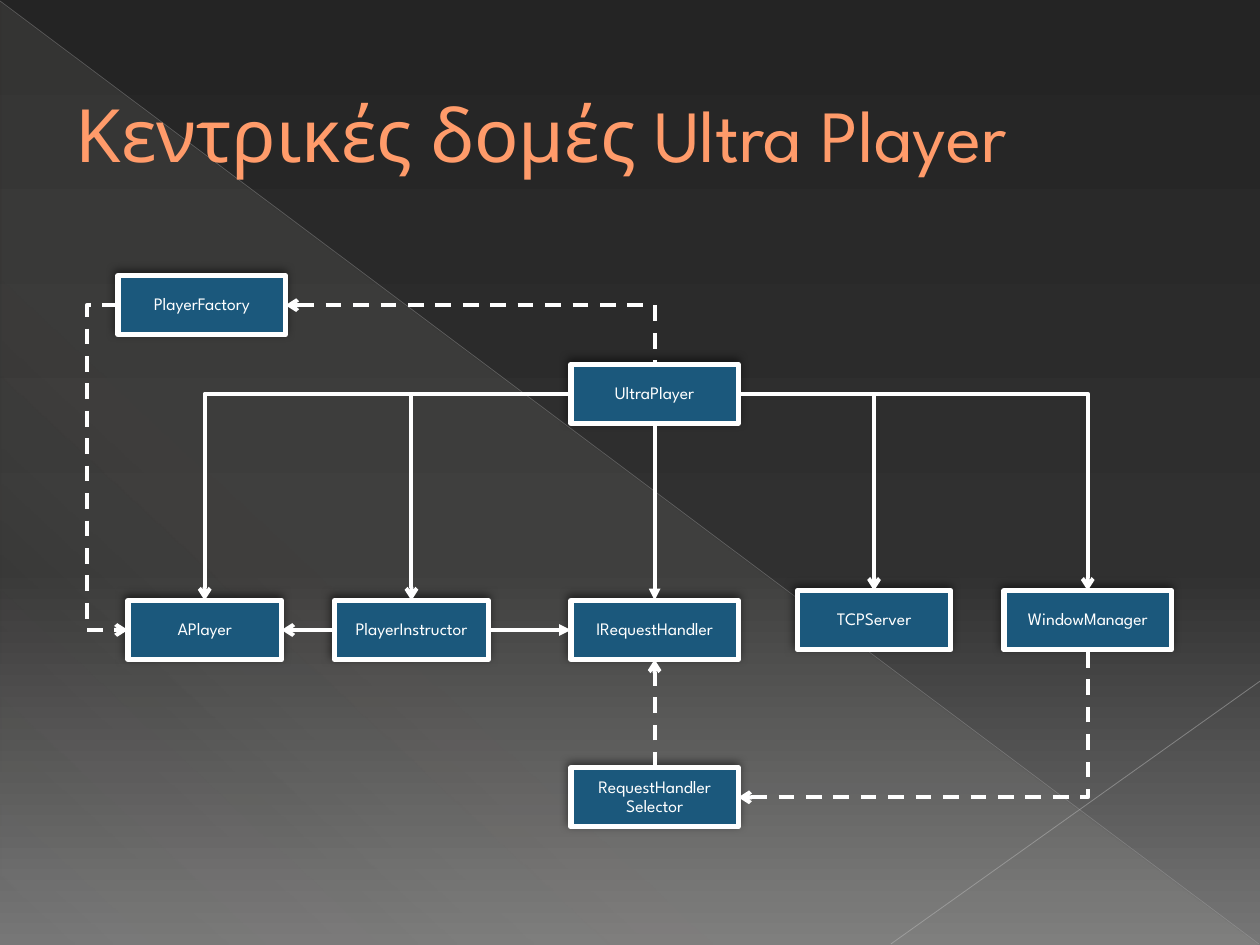
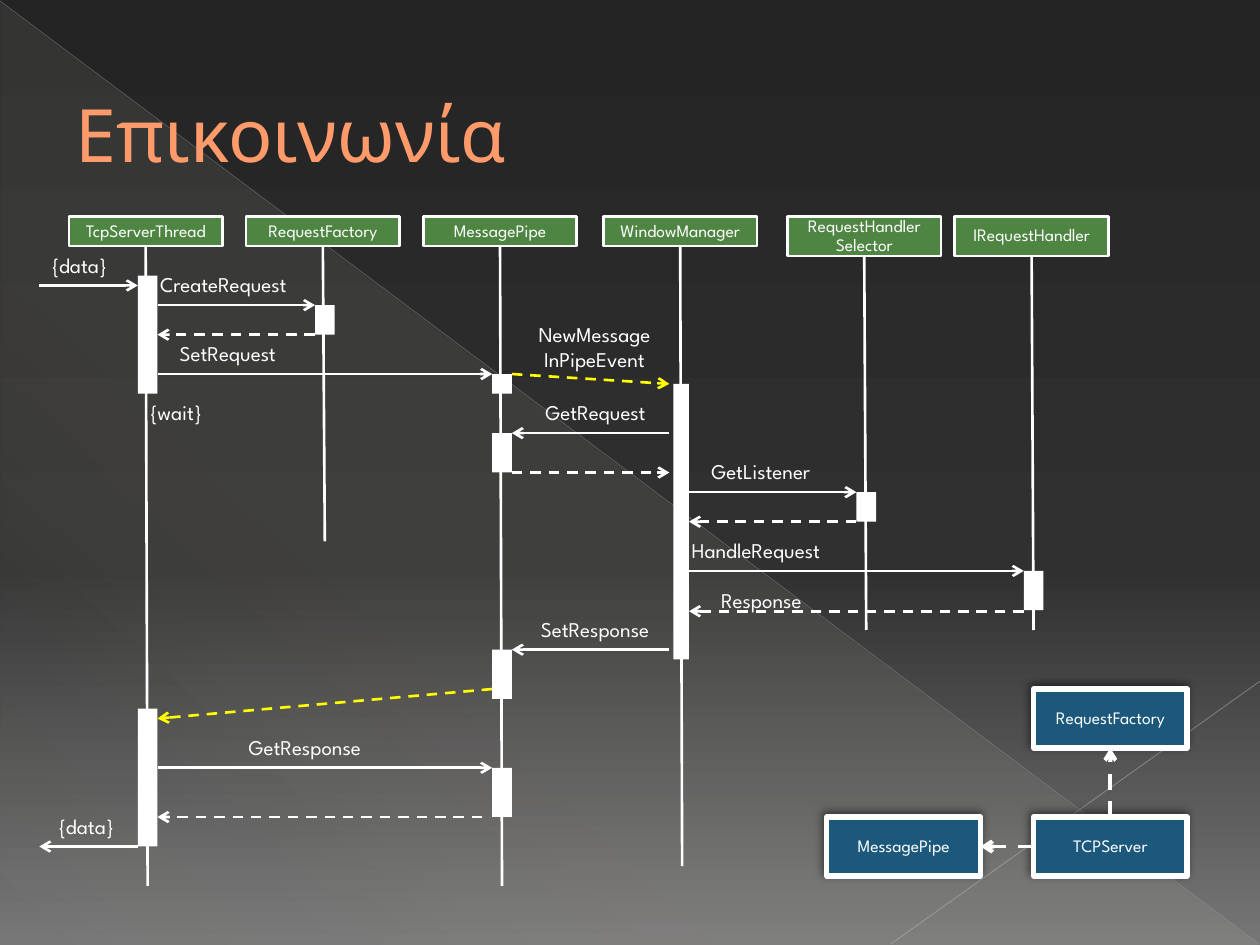
import pptx
import pptx.util
import pptx.dml.color
import pptx.enum.dml
import pptx.enum.shapes
import pptx.enum.text
import pptx.oxml
import pptx.oxml.ns

# ---- Shared look -------------------------------------------------------
FONT = "League Spartan"
WHITE, BLUE, GREEN, YELLOW, ORANGE = "FFFFFF", "1B587C", "4E8542", "FFFF00", "FF9B6A"
WIDTH, HEIGHT = 10, 7.5
UNIT = WIDTH / 128  # the slide is a grid of 128 columns and 96 rows
BOX_HEIGHT, NARROW, WIDE = 6, 15.6, 17
BACKGROUND = [(0, "242424", 100), (60, "303030", 100), (100, "767676", 100)]
SHEEN = [(0, "E3DED1", 10), (70, "E3DED1", 8), (100, "E3DED1", 1)]
# start, end, colour, line width, opacity
DECOR_LINES = [((0, 0.1), (127.9, 95.9), "B6B6B6", 0.39, 35),
               ((128, 69.2), (90.5, 95.9), "BFBFBF", 0.47, 45)]

# ---- Slide 1: classes and their links ----------------------------------
STRUCTURE_TITLE = "Κεντρικές δομές Ultra Player"
CLASSES = {  # column, row, width
    "UltraPlayer": (58, 37, WIDE),
    "TCPServer": (81, 60, NARROW),
    "APlayer": (13, 61, NARROW),
    "PlayerInstructor": (34, 61, NARROW),
    "IRequestHandler": (58, 61, WIDE),
    "WindowManager": (102, 60, WIDE),
    "PlayerFactory": (12, 28, WIDE),
    "RequestHandler Selector": (58, 78, WIDE),
}
CLASS_LINKS = [  # source, its side, target, its side, dashed, arrowhead
    ("UltraPlayer", "right", "TCPServer", "top", False, "arrow"),
    ("UltraPlayer", "left", "APlayer", "top", False, "arrow"),
    ("UltraPlayer", "left", "PlayerInstructor", "top", False, "arrow"),
    ("UltraPlayer", "right", "WindowManager", "top", False, "arrow"),
    ("UltraPlayer", "bottom", "IRequestHandler", "top", False, "triangle"),
    ("PlayerInstructor", "right", "IRequestHandler", "left", False, "triangle"),
    ("RequestHandler Selector", "top", "IRequestHandler", "bottom", True, "arrow"),
    ("UltraPlayer", "top", "PlayerFactory", "right", True, "arrow"),
    ("PlayerFactory", "left", "APlayer", "left", True, "arrow"),
    ("WindowManager", "bottom", "RequestHandler Selector", "right", True, "arrow"),
    ("PlayerInstructor", "left", "APlayer", "right", False, "arrow"),
]
DETOUR_COLUMN = 8.8  # where a link between two left sides runs

# ---- Slide 2: sequence diagram -----------------------------------------
SEQUENCE_TITLE = "Επικοινωνία"
HEADER_ROW = 22
PARTICIPANTS = [  # name, column, header height, last row of the lifeline
    ("TcpServerThread", 7, 3, 90),
    ("RequestFactory", 25, 3, 55),
    ("MessagePipe", 43, 3, 90),
    ("WindowManager", 61.3, 3, 88),
    ("RequestHandler Selector", 80, 4, 64),
    ("IRequestHandler", 97, 4, 64),
]
ACTIVATIONS = [  # column, row, width, height
    (14, 28, 2, 12), (14, 72, 2, 14), (32, 31, 2, 3), (50, 38, 2, 2),
    (50, 44, 2, 4), (50, 66, 2, 5), (50, 78, 2, 5), (68.4, 39, 1.6, 28),
    (87, 50, 2, 3), (104, 58, 2, 4),
]
MESSAGES = [  # start, end, colour, dashed
    ((4, 29), (14, 29), WHITE, False),
    ((16, 31), (32, 31), WHITE, False),
    ((32, 34), (16, 34), WHITE, True),
    ((16, 38), (50, 38), WHITE, False),
    ((52, 38), (68, 39), YELLOW, True),
    ((68, 44), (52, 44), WHITE, False),
    ((52, 48), (68, 48), WHITE, True),
    ((70, 50), (87, 50), WHITE, False),
    ((87, 53), (70, 53), WHITE, True),
    ((70, 58), (104, 58), WHITE, False),
    ((104, 62.1), (70, 62.1), WHITE, True),
    ((68, 66), (52, 66), WHITE, False),
    ((50, 70), (16, 73), YELLOW, True),
    ((16, 78), (50, 78), WHITE, False),
    ((49, 83), (16, 83), WHITE, True),
    ((14, 86), (4, 86), WHITE, False),
]
LABELS = [  # lines, column, row, width, centred
    (["{data}"], 4, 25, 9.3, False),
    (["CreateRequest"], 15, 27, 18.4, False),
    (["SetRequest"], 17, 34, 14.2, False),
    (["{wait}"], 14, 40, 8.6, False),
    (["NewMessage", "InPipeEvent"], 52, 32, 16.8, True),
    (["GetRequest"], 53, 40, 15, True),
    (["GetListener"], 71, 46, 14.3, False),
    (["HandleRequest"], 69, 54, 18.6, False),
    (["Response"], 72, 59.1, 12.5, False),
    (["SetResponse"], 52.6, 62, 15.7, True),
    (["GetResponse"], 24, 74, 16.5, False),
    (["{data}"], 4.7, 82, 9.3, False),
]
SERVER_CLASSES = {
    "TCPServer": (105, 83, NARROW),
    "MessagePipe": (84, 83, NARROW),
    "RequestFactory": (105, 70, NARROW),
}
SERVER_LINKS = [
    ("TCPServer", "top", "RequestFactory", "bottom", True, "arrow"),
    ("TCPServer", "left", "MessagePipe", "right", True, "arrow"),
]


# ---- Helpers -----------------------------------------------------------
def grid(*values):
    return [pptx.util.Inches(value * UNIT) for value in values]


def color(hex_string):
    return pptx.dml.color.RGBColor.from_string(hex_string)


def add_xml(parent, xml):
    """Append an element of the drawing namespace."""
    tag, rest = xml.split(" ", 1) if " " in xml.split(">")[0] else (xml.rstrip("/>"), "/>")
    element = pptx.oxml.parse_xml(f"{tag} {pptx.oxml.ns.nsdecls('a')} {rest}")
    parent.append(element)
    return element


def set_gradient(fill, owner, stops, angle):
    fill.gradient()
    fill.gradient_angle = 360 - angle
    stop_list = next(owner.iter(pptx.oxml.ns.qn("a:gsLst")))
    for old_stop in list(stop_list):
        stop_list.remove(old_stop)
    for position, hex_string, opacity in stops:
        add_xml(stop_list, f'<a:gs pos="{position * 1000}"><a:srgbClr val="{hex_string}">'
                           f'<a:alpha val="{opacity * 1000}"/></a:srgbClr></a:gs>'
                .replace("<a:gs pos", "<a:gs pos", 1))


def format_paragraph(paragraph, size, hex_string=WHITE, centred=False):
    paragraph.font.name = FONT
    paragraph.font.size = pptx.util.Pt(size)
    paragraph.font.color.rgb = color(hex_string)
    align = pptx.enum.text.PP_ALIGN
    paragraph.alignment = align.CENTER if centred else align.LEFT


def add_rectangle(slide, place, fill, line_width=0, text="", shadow=False):
    shape = slide.shapes.add_shape(pptx.enum.shapes.MSO_SHAPE.RECTANGLE, *grid(*place))
    shape.shadow.inherit = False
    shape.fill.solid()
    shape.fill.fore_color.rgb = color(fill)
    if line_width:
        shape.line.color.rgb = color(WHITE)
        shape.line.width = pptx.util.Pt(line_width)
    else:
        shape.line.fill.background()
    if shadow:
        effects = next(shape.element.iter(pptx.oxml.ns.qn("a:effectLst")))
        add_xml(effects, '<a:outerShdw blurRad="63500" dist="25400" dir="14700000">'
                         '<a:srgbClr val="000000"><a:alpha val="50000"/></a:srgbClr>'
                         '</a:outerShdw>')
    if text:
        frame = shape.text_frame
        frame.word_wrap = True
        frame.vertical_anchor = pptx.enum.text.MSO_ANCHOR.MIDDLE
        frame.margin_left = frame.margin_right = pptx.util.Inches(0.02)
        frame.margin_top = frame.margin_bottom = pptx.util.Inches(0.01)
        frame.text = text
        frame.paragraphs[0].line_spacing = 0.9
        format_paragraph(frame.paragraphs[0], 10, centred=True)
    return shape


def add_line(slide, start, end, hex_string=WHITE, width=1.5, dashed=False,
             head=None, tail=None, elbow=False):
    kinds = pptx.enum.shapes.MSO_CONNECTOR
    connector = slide.shapes.add_connector(
        kinds.ELBOW if elbow else kinds.STRAIGHT, *grid(*start, *end))
    connector.line.color.rgb = color(hex_string)
    connector.line.width = pptx.util.Pt(width)
    if dashed:
        connector.line.dash_style = pptx.enum.dml.MSO_LINE.DASH
    outline = next(connector.element.iter(pptx.oxml.ns.qn("a:ln")))
    for end_tag, arrow in (("headEnd", head), ("tailEnd", tail)):
        if arrow:
            add_xml(outline, f'<a:{end_tag} type="{arrow}"/>')
    add_xml(connector.element.spPr, "<a:effectLst/>")
    return connector


def anchor(place, side):
    column, row, width = place
    return {"left": (column, row + BOX_HEIGHT / 2),
            "right": (column + width, row + BOX_HEIGHT / 2),
            "top": (column + width / 2, row),
            "bottom": (column + width / 2, row + BOX_HEIGHT)}[side]


def add_link(slide, start, start_side, end, end_side, dashed, arrow):
    style = dict(width=2.25, dashed=dashed)
    sideways = ("left", "right")
    if start_side == end_side:  # detour around both boxes
        connector = add_line(slide, start, end, tail=arrow, elbow=True, **style)
        share = (DETOUR_COLUMN - start[0]) / (end[0] - start[0])
        geometry = next(connector.element.iter(pptx.oxml.ns.qn("a:prstGeom")))
        for old_list in list(geometry):
            geometry.remove(old_list)
        add_xml(geometry, f'<a:avLst ><a:gd name="adj1" fmla="val {round(share * 100000)}"/>'
                          '</a:avLst>')
    elif (start_side in sideways) == (end_side in sideways):
        add_line(slide, start, end, tail=arrow, **style)
    else:  # one corner; the shape runs sideways first
        if start_side in sideways:
            connector = add_line(slide, start, end, tail=arrow, elbow=True, **style)
        else:
            connector = add_line(slide, end, start, head=arrow, elbow=True, **style)
        geometry = next(connector.element.iter(pptx.oxml.ns.qn("a:prstGeom")))
        geometry.set("prst", "bentConnector2")


def add_class_diagram(slide, classes, links):
    for name, (column, row, width) in classes.items():
        add_rectangle(slide, (column, row, width, BOX_HEIGHT), BLUE, 3, name, shadow=True)
    for source, source_side, target, target_side, dashed, arrow in links:
        add_link(slide, anchor(classes[source], source_side), source_side,
                 anchor(classes[target], target_side), target_side, dashed, arrow)


def add_label(slide, lines, column, row, width, centred):
    box = slide.shapes.add_textbox(*grid(column, row, width, 1.3 + 2.55 * len(lines)))
    box.text_frame.word_wrap = False
    box.text_frame.text = "\n".join(lines)
    for paragraph in box.text_frame.paragraphs:
        format_paragraph(paragraph, 12, centred=centred)


def add_titled_slide(presentation, layout, title):
    slide = presentation.slides.add_slide(layout)
    frame = slide.shapes.title.text_frame
    frame.text = title
    frame.word_wrap = True
    frame.auto_size = pptx.enum.text.MSO_AUTO_SIZE.NONE
    frame.vertical_anchor = pptx.enum.text.MSO_ANCHOR.MIDDLE
    format_paragraph(frame.paragraphs[0], 42, ORANGE)
    return slide


def decorate_layout(layout, slide):
    """Draw the shared backdrop, then move it from the slide to the layout."""
    set_gradient(layout.background.fill, layout.element, BACKGROUND, 90)
    triangle = slide.shapes.add_shape(pptx.enum.shapes.MSO_SHAPE.RIGHT_TRIANGLE,
                                      *grid(0.1, 0.2, 127.8, 95.8))
    triangle.shadow.inherit = False
    triangle.line.fill.background()
    set_gradient(triangle.fill, triangle.element, SHEEN, 133)
    parts = [triangle]
    for start, end, hex_string, width, opacity in DECOR_LINES:
        line = add_line(slide, start, end, hex_string, width)
        add_xml(next(line.element.iter(pptx.oxml.ns.qn("a:srgbClr"))),
                f'<a:alpha val="{opacity * 1000}"/>')
        parts.append(line)
    for number, part in enumerate(parts, 100):
        part.element.xpath("./*/p:cNvPr")[0].set("id", str(number))
        layout.shapes.element.append(part.element)


# ---- Build -------------------------------------------------------------
presentation = pptx.Presentation()
presentation.slide_width = pptx.util.Inches(WIDTH)
presentation.slide_height = pptx.util.Inches(HEIGHT)
layout = presentation.slide_layouts[5]
layout_title = layout.placeholders[0]
layout_title.left, layout_title.top, layout_title.width, layout_title.height = (
    pptx.util.Inches(length) for length in (0.5, 0.29, 9, 1.53))

structure = add_titled_slide(presentation, layout, STRUCTURE_TITLE)
decorate_layout(layout, structure)
add_class_diagram(structure, CLASSES, CLASS_LINKS)

sequence = add_titled_slide(presentation, layout, SEQUENCE_TITLE)
add_class_diagram(sequence, SERVER_CLASSES, SERVER_LINKS)
for name, column, height, last_row in PARTICIPANTS:
    add_rectangle(sequence, (column, HEADER_ROW, NARROW, height), GREEN, 1.5, name)
    add_line(sequence, (column + NARROW / 2, HEADER_ROW + height), (column + 8, last_row))
for place in ACTIVATIONS:
    add_rectangle(sequence, place, WHITE)
for start, end, hex_string, dashed in MESSAGES:
    add_line(sequence, start, end, hex_string, dashed=dashed, tail="arrow")
for label in LABELS:
    add_label(sequence, *label)

presentation.save("out.pptx")
